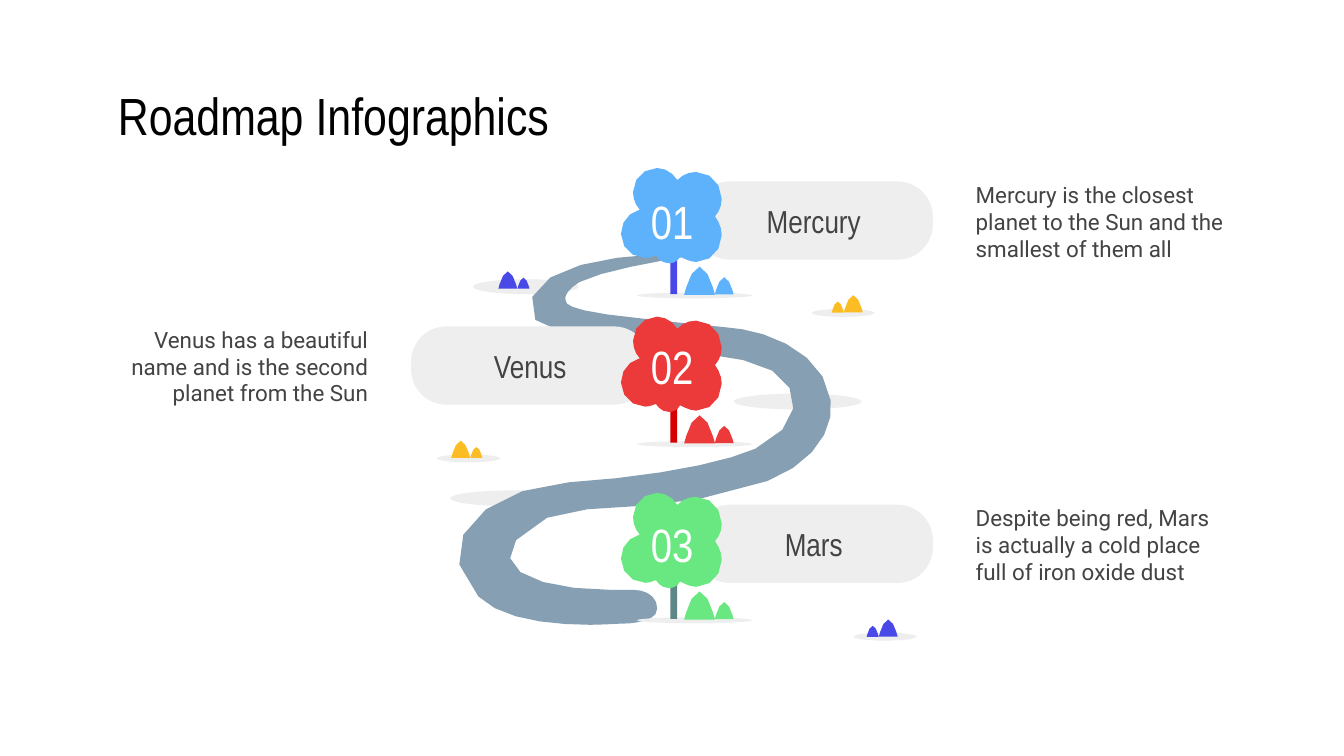
from pptx import Presentation
from pptx import util as u
from pptx.dml.color import RGBColor
from pptx.enum import shapes, text

deck = Presentation()
deck.slide_width, deck.slide_height = u.Cm(25.4), u.Cm(14.29)
page = deck.slides.add_slide(deck.slide_layouts[6])
grid = u.Cm(2.54) / 100
oval = shapes.MSO_SHAPE.OVAL
left_side, middle, right_side = text.PP_ALIGN.LEFT, text.PP_ALIGN.CENTER, text.PP_ALIGN.RIGHT
top_anchor, middle_anchor = text.MSO_ANCHOR.TOP, text.MSO_ANCHOR.MIDDLE


def paint(shape, color):
    shape.fill.solid()
    shape.fill.fore_color.rgb = RGBColor.from_string(color)
    shape.line.fill.background()
    shape.shadow.inherit = False
    return shape


def trace(curve, color, left=0, top=0, size=1, steps=3):
    points = [curve[0]]
    for first in range(0, len(curve) - 1, 3):
        a, b, c, d = curve[first:first + 4]
        for step in range(1, steps + 1):
            t = step / steps
            s = 1 - t
            points.append([s**3 * a[i] + 3 * s * s * t * b[i] + 3 * s * t * t * c[i] + t**3 * d[i]
                           for i in (0, 1)])
    spots = [(u.Cm(left) + x * size * grid, u.Cm(top) + y * size * grid) for x, y in points]
    builder = page.shapes.build_freeform(*spots[0])
    builder.add_line_segments(spots[1:], close=True)
    paint(builder.convert_to_shape(), color)


mound = [(0, 21), (0, 21), (5, 0), (11.5, 0), (18, 0), (23, 21), (23, 21)]
road = [
    (506, 189), (479, 189), (408, 192), (396, 221), (380, 257), (471, 251), (553, 268),
    (596, 276), (606, 313), (562, 334), (537, 345), (484, 355), (423, 359),
    (362, 363), (316, 404), (356, 444), (373, 461), (409, 465), (439, 465),
    (449, 465), (460, 464), (468, 464), (477, 463), (489, 461), (489, 453),
    (489, 444), (481, 439), (471, 439), (465, 439), (459, 439), (454, 439),
    (408, 439), (365, 427), (384, 402), (417, 362), (477, 392), (571, 358),
    (607, 344), (621, 318), (618, 298), (614, 265), (577, 249), (552, 245),
    (527, 242), (530, 243), (477, 237), (426, 232), (421, 227), (421, 224),
    (420, 222), (420, 217), (431, 210), (449, 200), (517, 190), (517, 190),
]
tree = [
    (537, 148), (537, 137), (529, 128), (518, 128), (512, 128), (508, 130), (504, 134),
    (501, 129), (495, 125), (489, 125), (479, 125), (471, 133), (471, 143),
    (471, 148), (473, 153), (476, 156), (468, 158), (462, 165), (462, 174),
    (462, 184), (470, 192), (480, 192), (483, 192), (485, 191), (488, 190),
    (490, 193), (493, 196), (498, 196), (501, 196), (505, 194), (506, 191),
    (510, 193), (514, 195), (518, 195), (529, 195), (537, 186), (537, 175),
    (537, 170), (535, 165), (532, 161), (535, 158), (537, 153), (537, 148),
]

patches = [
    (8.94, 5.28, 2, 0.28), (13.87, 7.44, 2.41, 0.3), (8.51, 9.27, 2.41, 0.3),
    (8.26, 8.59, 1.19, 0.15), (15.34, 5.84, 1.19, 0.15), (16.13, 11.96, 1.19, 0.15),
]
for patch in patches:
    paint(page.shapes.add_shape(oval, *map(u.Cm, patch)), "EEEEEE")

hills = [
    ("4949E7", 9.42, 9.78, 5.13), ("FCBD24", 8.53, 8.89, 8.33),
    ("FCBD24", 15.95, 15.72, 5.58), ("4949E7", 16.61, 16.38, 11.71),
]
for color, large_left, small_left, top in hills:
    trace(mound, color, large_left, top, 0.61)
    trace(mound, color, small_left, top + 0.12, 0.39)

trace(road, "869FB2", steps=5)

title = page.shapes.add_textbox(u.Cm(1.98), u.Cm(1.5), u.Cm(21.46), u.Cm(1.35))
labels = [(title, "Roadmap Infographics", 28, "Arial Narrow", "000000", left_side, middle_anchor, 0.25)]

stops = [
    ("01", "Mercury", "Mercury is the closest planet to the Sun and the smallest of them all",
     "5EB2FC", "4949E7", 0, 3.43, 13.13, 18.19, left_side),
    ("02", "Venus", "Venus has a beautiful name and is the second planet from the Sun",
     "EC3A3B", "D70001", 2.81, 6.17, 7.77, 1.98, right_side),
    ("03", "Mars", "Despite being red, Mars is actually a cold place full of iron oxide dust",
     "69E781", "5D8687", 6.14, 9.54, 13.13, 18.19, left_side),
]
for number, planet, fact, leaf, bark, drop, top, pill_left, fact_left, align in stops:
    pill = page.shapes.add_shape(shapes.MSO_SHAPE.ROUNDED_RECTANGLE,
                                 u.Cm(pill_left), u.Cm(top), u.Cm(4.5), u.Cm(1.48))
    pill.adjustments[0] = 0.45
    paint(pill, "EEEEEE")
    paint(page.shapes.add_shape(oval, u.Cm(12.04), u.Cm(5.53 + drop), u.Cm(2.18), u.Cm(0.11)), "EEEEEE")
    trace(mound, leaf, 12.93, 5.04 + drop)
    trace(mound, leaf, 13.51, 5.24 + drop, 0.61)
    paint(page.shapes.add_shape(shapes.MSO_SHAPE.RECTANGLE, u.Cm(12.67), u.Cm(4.75 + drop),
                                u.Cm(0.13), u.Cm(0.81)), bark)
    trace(tree, leaf, top=drop)
    badge = page.shapes.add_textbox(u.Cm(11.89), u.Cm(top + 0.29), u.Cm(1.63), u.Cm(0.91))
    note = page.shapes.add_textbox(u.Cm(fact_left), u.Cm(top - 0.26), u.Cm(5.23), u.Cm(1.98))
    labels += [
        (pill, planet, 17, "Arial Narrow", "434343", middle, middle_anchor, 0.25),
        (badge, number, 25, "Arial Narrow", "FFFFFF", middle, middle_anchor, 0),
        (note, fact, 12, "Roboto", "434343", align, top_anchor, 0.25),
    ]

for box, words, size, font, color, align, anchor, inset in labels:
    frame = box.text_frame
    frame.word_wrap = True
    frame.vertical_anchor = anchor
    frame.margin_left = frame.margin_right = frame.margin_top = frame.margin_bottom = u.Cm(inset)
    para = frame.paragraphs[0]
    para.alignment = align
    span = para.add_run()
    span.text = words
    span.font.size = u.Pt(size)
    span.font.name = font
    span.font.color.rgb = RGBColor.from_string(color)

deck.save("out.pptx")
